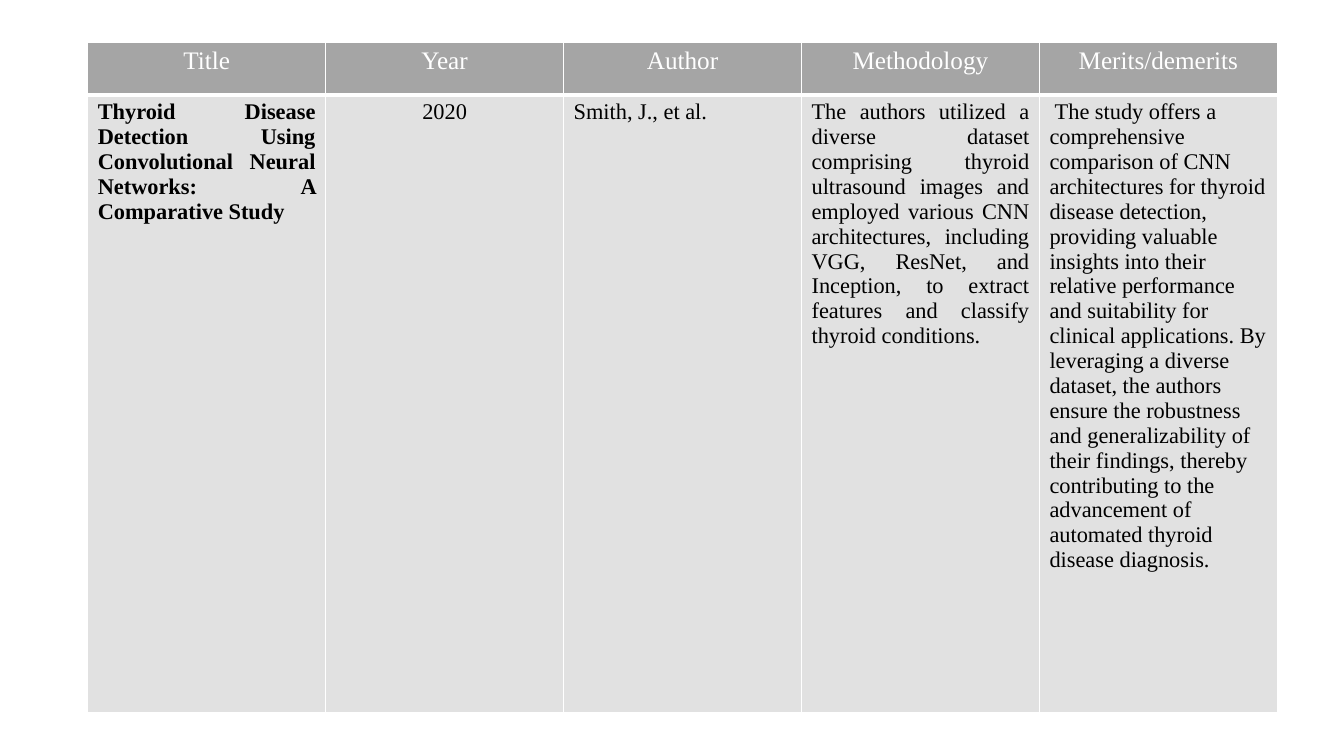
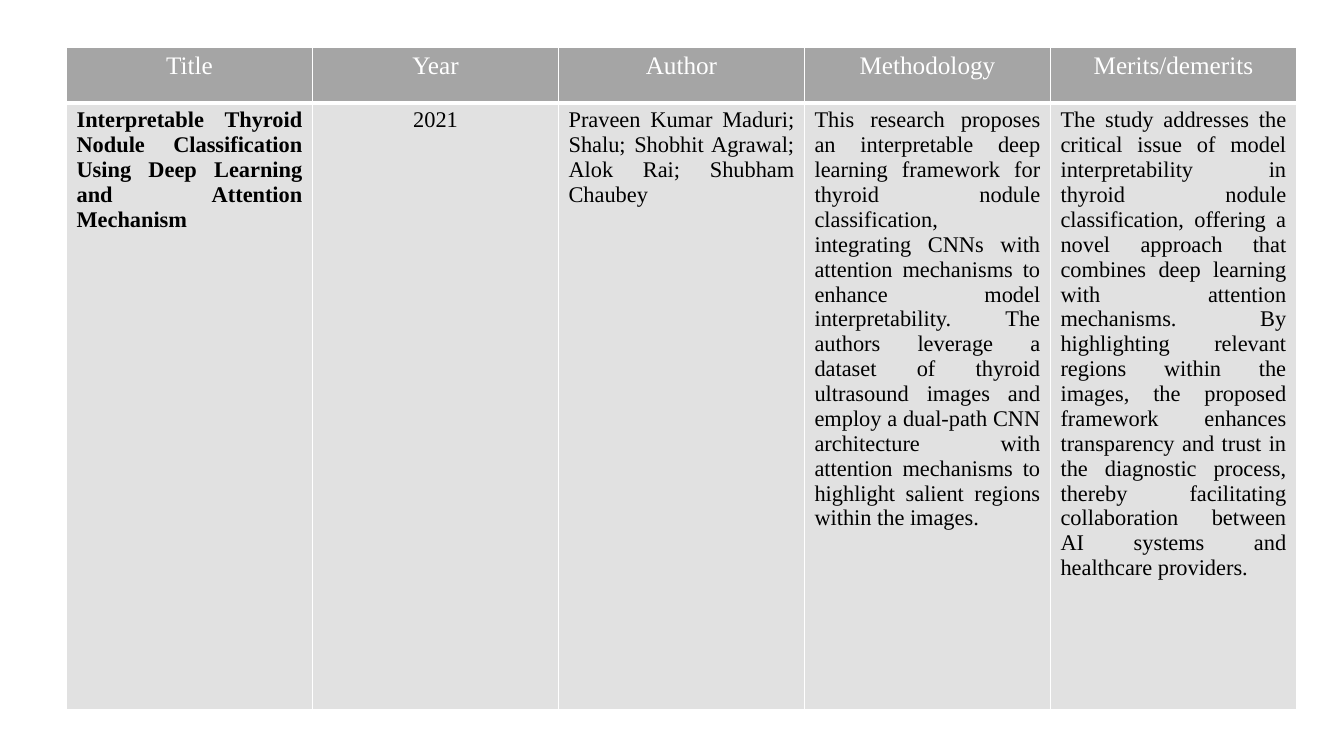
from lxml import etree
from pptx import Presentation
from pptx.dml.color import RGBColor
from pptx.enum.text import PP_ALIGN as Align
from pptx.oxml.ns import qn
from pptx.util import Emu, Pt

# Shared look
FONT = "Times New Roman"
WHITE, BLACK, HEADER_GREY, BODY_GREY = "FFFFFF", "000000", "A5A5A5", "E1E1E1"
HEADINGS = ["Title", "Year", "Author", "Methodology", "Merits/demerits"]
BODY_ALIGNS = [Align.JUSTIFY, Align.CENTER, Align.JUSTIFY, Align.JUSTIFY, Align.JUSTIFY]
BLANK_LAYOUT = 6

# One entry per slide: left, top, column width, row heights, study, alignments
STUDIES = [
    (87, 42, 236, (52, 613), [
        "Thyroid Disease Detection Using Convolutional Neural Networks: "
        "A Comparative Study",
        "2020",
        "Smith, J., et al.",
        "The authors utilized a diverse dataset comprising thyroid ultrasound images "
        "and employed various CNN architectures, including VGG, ResNet, and Inception, "
        "to extract features and classify thyroid conditions.",
        " The study offers a comprehensive comparison of CNN architectures for thyroid "
        "disease detection, providing valuable insights into their relative performance "
        "and suitability for clinical applications. By leveraging a diverse dataset, "
        "the authors ensure the robustness and generalizability of their findings, "
        "thereby contributing to the advancement of automated thyroid disease diagnosis.",
    ], BODY_ALIGNS[:-1] + [Align.LEFT]),
    (66, 47, 244, (55, 602), [
        "Interpretable Thyroid Nodule Classification Using Deep Learning and "
        "Attention Mechanism",
        "2021",
        "Praveen Kumar Maduri; Shalu; Shobhit Agrawal; Alok Rai; Shubham Chaubey",
        "This research proposes an interpretable deep learning framework for thyroid "
        "nodule classification, integrating CNNs with attention mechanisms to enhance "
        "model interpretability. The authors leverage a dataset of thyroid ultrasound "
        "images and employ a dual-path CNN architecture with attention mechanisms to "
        "highlight salient regions within the images.",
        "The study addresses the critical issue of model interpretability in thyroid "
        "nodule classification, offering a novel approach that combines deep learning "
        "with attention mechanisms. By highlighting relevant regions within the images, "
        "the proposed framework enhances transparency and trust in the diagnostic "
        "process, thereby facilitating collaboration between AI systems and healthcare "
        "providers.",
    ], BODY_ALIGNS),
]


def px(length):
    """Convert px, 100 to the inch, into EMU."""
    return Emu(length * 9144)


def color(value):
    return RGBColor.from_string(value)


def set_borders(cell, bottom):
    """Draw white 1 pt borders, with a bottom border of its own width."""
    properties = cell._tc.get_or_add_tcPr()
    for place, (side, width) in enumerate(zip("LRTB", (1, 1, 1, bottom))):
        line = etree.Element(qn(f"a:ln{side}"), w=str(Pt(width)))
        fill = etree.SubElement(line, qn("a:solidFill"))
        etree.SubElement(fill, qn("a:srgbClr"), val=WHITE)
        properties.insert(place, line)


def fill_cell(cell, text, align, fill, ink, size, bold=False, bottom=1):
    cell.fill.solid()
    cell.fill.fore_color.rgb = color(fill)
    set_borders(cell, bottom)
    para = cell.text_frame.paragraphs[0]
    para.alignment = align
    span = para.add_run()
    span.text = text
    span.font.name = FONT
    span.font.size = Pt(size)
    span.font.bold = bold
    span.font.color.rgb = color(ink)


def add_study_table(page, left, top, column_width, row_heights, study, aligns):
    count = len(HEADINGS)
    table = page.shapes.add_table(
        len(row_heights), count, px(left), px(top),
        px(column_width * count), px(sum(row_heights))).table
    for row, height in zip(table.rows, row_heights):
        row.height = px(height)
    for index, (heading, text, align) in enumerate(zip(HEADINGS, study, aligns)):
        table.columns[index].width = px(column_width)
        fill_cell(table.cell(0, index), heading, Align.CENTER,
                  HEADER_GREY, WHITE, 18, bottom=3)
        fill_cell(table.cell(1, index), text, align,
                  BODY_GREY, BLACK, 16, bold=index == 0)


def main():
    deck = Presentation()
    deck.slide_width, deck.slide_height = px(1333), px(750)
    for study in STUDIES:
        page = deck.slides.add_slide(deck.slide_layouts[BLANK_LAYOUT])
        add_study_table(page, *study)
    deck.save("out.pptx")


if __name__ == "__main__":
    main()
